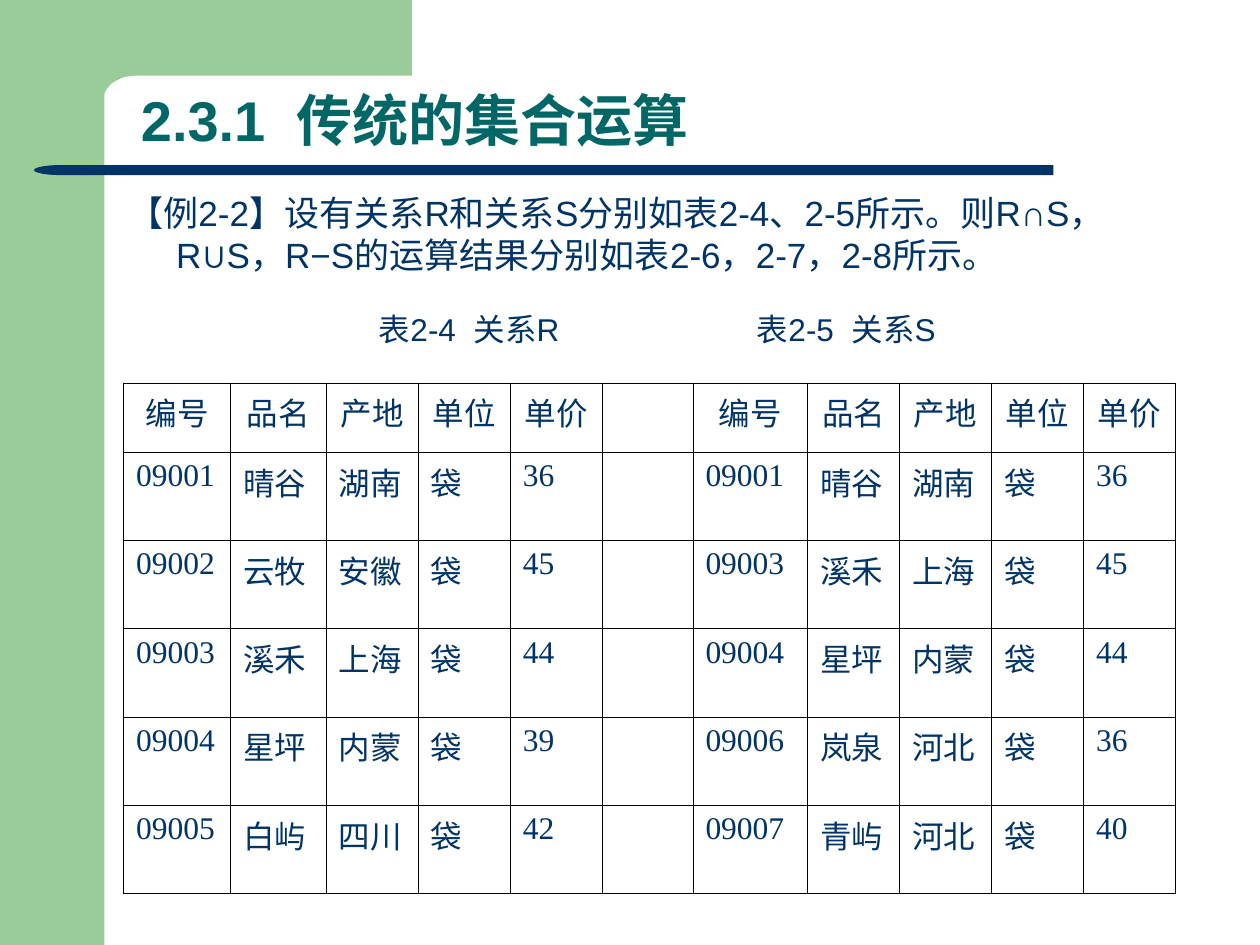
from lxml import etree
from pptx import Presentation
from pptx.dml.color import RGBColor
from pptx.enum.shapes import MSO_SHAPE
from pptx.enum.text import MSO_ANCHOR, PP_ALIGN
from pptx.oxml.ns import qn
from pptx.util import Inches, Pt

RECT, ROUND_RECT, DELAY = (
    MSO_SHAPE.RECTANGLE, MSO_SHAPE.ROUNDED_RECTANGLE, MSO_SHAPE.FLOWCHART_DELAY)
TOP, MIDDLE, BOTTOM = MSO_ANCHOR.TOP, MSO_ANCHOR.MIDDLE, MSO_ANCHOR.BOTTOM
CENTER, LEFT = PP_ALIGN.CENTER, PP_ALIGN.LEFT

COLORS = {"green": "99CC99", "navy": "003366", "teal": "006666", "black": "000000"}
SANS, SERIF = "Arial", "Times New Roman"

HEADINGS = ["编号", "品名", "产地", "单位", "单价"]
UNIT = "袋"
RELATION_R = [
    ("09001", "晴谷", "湖南", "36"),
    ("09002", "云牧", "安徽", "45"),
    ("09003", "溪禾", "上海", "44"),
    ("09004", "星坪", "内蒙", "39"),
    ("09005", "白屿", "四川", "42"),
]
RELATION_S = [
    ("09001", "晴谷", "湖南", "36"),
    ("09003", "溪禾", "上海", "45"),
    ("09004", "星坪", "内蒙", "44"),
    ("09006", "岚泉", "河北", "36"),
    ("09007", "青屿", "河北", "40"),
]
COLUMN_WIDTHS = [0.85, 0.76, 0.73, 0.73, 0.73, 0.72, 0.91, 0.73, 0.73, 0.73, 0.73]
HEADER_HEIGHT, ROW_HEIGHT = 0.55, 0.7
SPACER_COLUMN = len(HEADINGS)


def color(name):
    return RGBColor.from_string(COLORS[name])


def paint(shape, fill):
    shape.shadow.inherit = False
    shape.fill.solid()
    shape.fill.fore_color.rgb = color(fill)
    shape.line.fill.background()


def add_block(page, kind, left, top, width, height, fill):
    block = page.shapes.add_shape(
        kind, Inches(left), Inches(top), Inches(width), Inches(height))
    paint(block, fill)
    return block


def curve_points(start, first, second, end, steps=8):
    """Points along a cubic curve, without its start."""
    points = []
    for step in range(1, steps + 1):
        t = step / steps
        weights = ((1 - t) ** 3, 3 * t * (1 - t) ** 2, 3 * t * t * (1 - t), t ** 3)
        points.append(tuple(
            sum(w * v for w, v in zip(weights, axis))
            for axis in zip(start, first, second, end)))
    return points


def add_corner(page):
    """Green top band whose inner corner is rounded."""
    points = [(3.27, 0.6), (1.11, 0.6), (1.07, 0.6), (0.99, 0.61)]
    for bend in (
        [(0.96, 0.62), (0.92, 0.64), (0.89, 0.66)],
        [(0.87, 0.68), (0.84, 0.71), (0.83, 0.74)],
        [(0.82, 0.77), (0.81, 0.8), (0.81, 0.83)],
    ):
        points += curve_points(points[-1], *bend)
    points += [(0.81, 0.91), (0.5, 0.91), (0.5, 0)]
    builder = page.shapes.build_freeform(Inches(3.27), 0, scale=1.0)
    builder.add_line_segments([(Inches(x), Inches(y)) for x, y in points], close=True)
    paint(builder.convert_to_shape(), "green")


def add_span(para, text, size, font, ink, bold=False):
    span = para.add_run()
    span.text = text
    span.font.size = Pt(size)
    span.font.name = font
    span.font.bold = bold
    span.font.color.rgb = color(ink)


def add_text_box(page, left, top, width, height, anchor):
    """A wrapping text box; returns its first paragraph."""
    box = page.shapes.add_textbox(
        Inches(left), Inches(top), Inches(width), Inches(height))
    frame = box.text_frame
    frame.word_wrap = True
    frame.vertical_anchor = anchor
    return frame.paragraphs[0]


def add_tab_stops(para, stops):
    tabs = etree.SubElement(para._p.get_or_add_pPr(), qn("a:tabLst"))
    for stop in stops:
        etree.SubElement(tabs, qn("a:tab"), pos=str(Inches(stop)), algn="l")


def add_title(page):
    para = add_text_box(page, 1.02, 0.72, 8.19, 0.55, BOTTOM)
    para.line_spacing = 0.9
    add_span(para, "2.3.1  传统的集合运算", 32, SANS, "teal", bold=True)


def add_example(page):
    para = add_text_box(page, 0.92, 1.47, 8.35, 0.87, TOP)
    properties = para._p.get_or_add_pPr()
    properties.set("marL", str(Inches(0.38)))
    properties.set("indent", str(-Inches(0.38)))
    add_span(para, "【例2-2】设有关系R和关系S分别如表2-4、2-5所示。则"
             "R∩S，R∪S，R−S的运算结果分别如表2-6，2-7，2-8所示。", 20, SANS, "navy")


def add_captions(page):
    """Captions of both relations, set apart by tab stops."""
    para = add_text_box(page, 2.91, 2.41, 5.2, 0.4, MIDDLE)
    add_tab_stops(para, range(8))
    para.alignment = LEFT
    add_span(para, "表2-4  关系R\t\t表2-5  关系S", 18, SANS, "navy")


def set_borders(cell, flat_width, side_width):
    properties = cell._tc.get_or_add_tcPr()
    for side, width in (("L", side_width), ("R", side_width),
                        ("T", flat_width), ("B", flat_width)):
        line = etree.SubElement(properties, qn(f"a:ln{side}"), w=str(Pt(width)))
        fill = etree.SubElement(line, qn("a:solidFill"))
        etree.SubElement(fill, qn("a:srgbClr"), val=COLORS["black"])


def relation_cells(record):
    number, product, origin, price = record
    return [number, product, origin, UNIT, price]


def add_relations(page):
    """Both relations side by side, with an empty column between them."""
    rows = [HEADINGS + [""] + HEADINGS]
    rows += [relation_cells(r) + [""] + relation_cells(s)
             for r, s in zip(RELATION_R, RELATION_S)]
    heights = [HEADER_HEIGHT] + [ROW_HEIGHT] * len(RELATION_R)
    table = page.shapes.add_table(
        len(rows), len(COLUMN_WIDTHS), Inches(0.98), Inches(3.04),
        Inches(sum(COLUMN_WIDTHS)), Inches(sum(heights))).table
    table.first_row = False
    table.horz_banding = False
    for column, width in zip(table.columns, COLUMN_WIDTHS):
        column.width = Inches(width)
    for r, (texts, height) in enumerate(zip(rows, heights)):
        table.rows[r].height = Inches(height)
        for c, text in enumerate(texts):
            cell = table.cell(r, c)
            set_borders(cell, 0.34 if c == SPACER_COLUMN else 0.45, 0.45)
            cell.fill.background()
            if text:
                para = cell.text_frame.paragraphs[0]
                para.alignment = LEFT if r else CENTER
                add_span(para, text, 18, SERIF if r else SANS, "navy")


def main():
    deck = Presentation()
    deck.slide_width, deck.slide_height = Inches(10), Inches(7.5)
    page = deck.slides.add_slide(deck.slide_layouts[6])
    add_block(page, RECT, 0, 0, 0.83, 7.5, "green")
    add_corner(page)
    rule = add_block(page, ROUND_RECT, 0.69, 1.31, 7.67, 0.08, "navy")
    rule.adjustments[0] = 0
    rule_tip = add_block(page, DELAY, 0.27, 1.31, 0.43, 0.08, "navy")
    rule_tip._element.spPr.find(qn("a:xfrm")).set("flipH", "1")
    add_title(page)
    add_example(page)
    add_relations(page)
    add_captions(page)
    deck.save("out.pptx")


if __name__ == "__main__":
    main()
